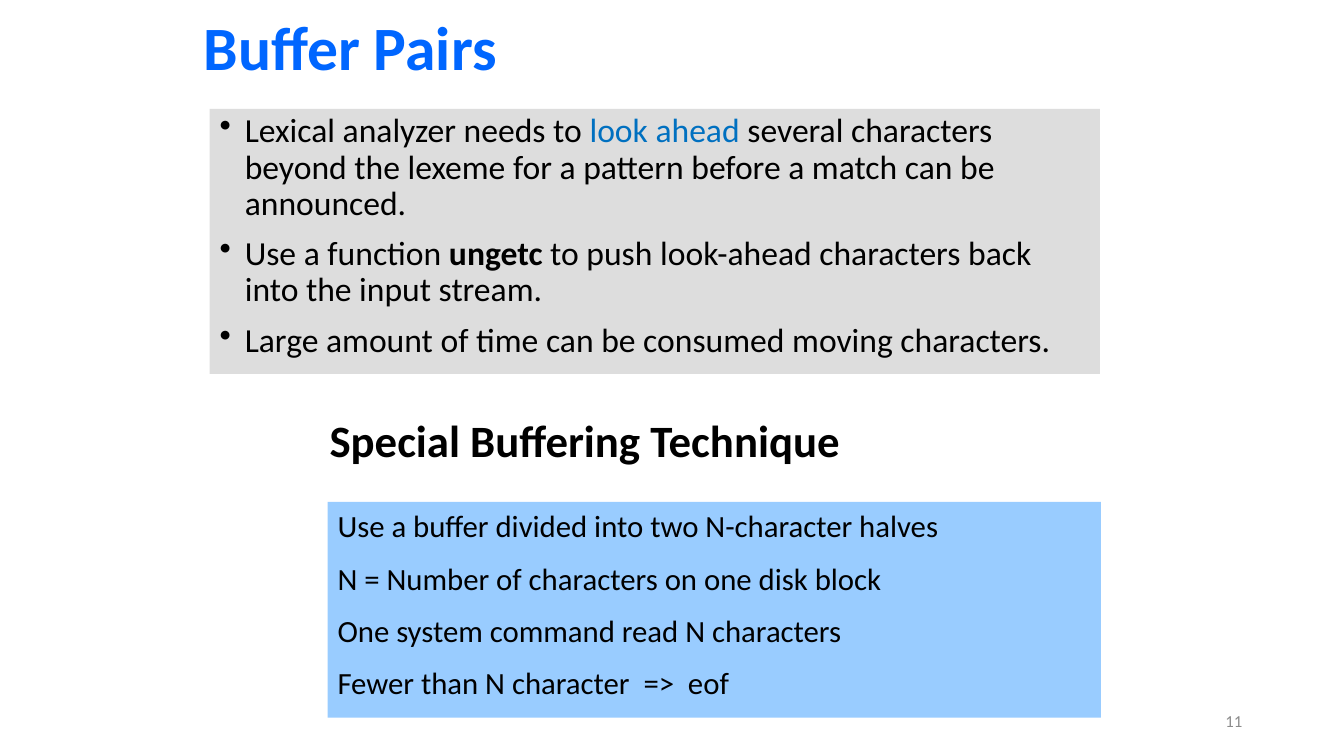
import pptx
import pptx.util
import pptx.dml.color
import pptx.enum.shapes
import pptx.enum.text
from lxml import etree

Inches = pptx.util.Inches
Pt = pptx.util.Pt
ANCHOR = pptx.enum.text.MSO_ANCHOR
ALIGN = pptx.enum.text.PP_ALIGN

COLORS = {
    "title": "0066FF",
    "text": "000000",
    "accent": "0070C0",
    "points_fill": "DDDDDD",
    "technique_fill": "99CCFF",
    "number": "8C8C8C",
}


def rgb(name):
    return pptx.dml.color.RGBColor.from_string(COLORS[name])


def style(para, size, color, bold=False, align=ALIGN.LEFT):
    para.alignment = align
    para.font.name = "Calibri"
    para.font.size = Pt(size)
    para.font.bold = bold
    para.font.color.rgb = rgb(color)


deck = pptx.Presentation()
deck.slide_width = Inches(13.33)
deck.slide_height = Inches(7.5)
page = deck.slides.add_slide(deck.slide_layouts[5])

title = page.shapes.title
title.left, title.top = Inches(1.92), Inches(0)
title.width, title.height = Inches(8.33), Inches(1)
title.text_frame.text = "Buffer Pairs"
title.text_frame.vertical_anchor = ANCHOR.MIDDLE
title_para = title.text_frame.paragraphs[0]
style(title_para, 44, "title", bold=True)
title_para.line_spacing = 0.9

panels = []
for left, top, width, height, fill in [
    (2.08, 1.08, 8.83, 2.63, "points_fill"),
    (3.25, 4.98, 7.67, 2.14, "technique_fill"),
]:
    panel = page.shapes.add_shape(
        pptx.enum.shapes.MSO_SHAPE.RECTANGLE,
        Inches(left), Inches(top), Inches(width), Inches(height),
    )
    panel.shadow.inherit = False
    panel.fill.solid()
    panel.fill.fore_color.rgb = rgb(fill)
    panel.line.fill.background()
    panel.text_frame.word_wrap = True
    panel.text_frame.vertical_anchor = ANCHOR.TOP
    panels.append(panel)
points_panel, technique_panel = panels

points = [
    [
        ("Lexical analyzer needs to ", "plain"),
        ("look ahead ", "accent"),
        ("several characters beyond the lexeme for a pattern before a match can be announced.", "plain"),
    ],
    [
        ("Use a function ", "plain"),
        ("ungetc", "bold"),
        (" to push look-ahead characters back into the input stream.", "plain"),
    ],
    [("Large amount of time can be consumed moving characters.", "plain")],
]
frame = points_panel.text_frame
for index, point in enumerate(points):
    para = frame.add_paragraph() if index else frame.paragraphs[0]
    style(para, 24, "text")
    para.line_spacing = 0.9
    para.space_before = Pt(10)
    properties = para._p.get_or_add_pPr()
    properties.set("marL", str(Inches(0.25)))
    properties.set("indent", str(Inches(-0.25)))
    bullet = etree.Element(pptx.oxml.ns.qn("a:buChar"), char="•")
    properties.find(pptx.oxml.ns.qn("a:defRPr")).addprevious(bullet)
    for text, kind in point:
        span = para.add_run()
        span.text = text
        span.font.name = "Calibri"
        span.font.size = Pt(24)
        span.font.bold = kind == "bold"
        span.font.color.rgb = rgb("accent" if kind == "accent" else "text")

heading = page.shapes.add_textbox(Inches(3.17), Inches(4.05), Inches(6.42), Inches(0.63))
heading.text_frame.word_wrap = True
heading.text_frame.text = "Special Buffering Technique"
style(heading.text_frame.paragraphs[0], 32, "text", bold=True)

steps = [
    "Use a buffer divided into two N-character halves",
    "N = Number of characters on one disk block",
    "One system command read N characters",
    "Fewer than N character  =>  eof",
]
technique_panel.text_frame.text = "\n".join(steps)
for para in technique_panel.text_frame.paragraphs:
    style(para, 22, "text")
    para.space_before = Pt(11)

number = page.shapes.add_textbox(Inches(9.42), Inches(6.95), Inches(3), Inches(0.4))
number.text_frame.word_wrap = True
number.text_frame.vertical_anchor = ANCHOR.MIDDLE
number.text_frame.text = "11"
style(number.text_frame.paragraphs[0], 12, "number", align=ALIGN.RIGHT)

deck.save("out.pptx")
